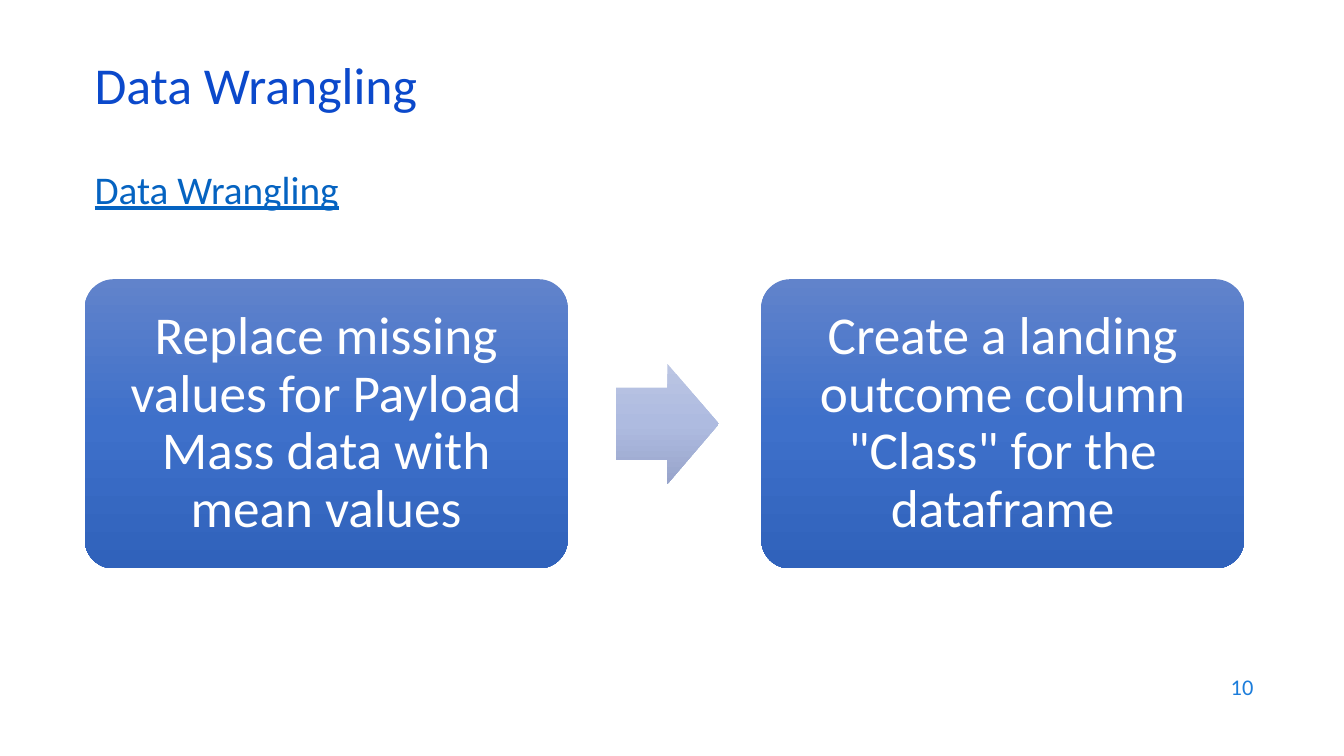
from copy import deepcopy
from dataclasses import dataclass

from pptx import Presentation
from pptx import util as u
from pptx.dml.color import RGBColor
from pptx.enum import shapes, text
from pptx.oxml.ns import qn


@dataclass(frozen=True)
class Theme:
    font: str = "Calibri"
    heading: str = "0B49CB"
    link: str = "0563C1"
    number: str = "1C7DDB"
    step_text: str = "FFFFFF"
    step_fill: tuple[str, ...] = ("6183CB", "3E70CA", "3062BB")
    arrow_fill: tuple[str, ...] = ("BBC5E3", "AEBBE0", "98A4CB")
    heading_size: int = 37
    link_size: int = 28
    step_size: int = 38
    number_size: int = 16


@dataclass(frozen=True)
class Area:
    left: float
    top: float
    width: float
    height: float

    def lengths(self) -> tuple[u.Length, ...]:
        return tuple(u.Inches(v) for v in (self.left, self.top, self.width, self.height))


@dataclass(frozen=True)
class Block:
    kind: shapes.MSO_SHAPE
    area: Area
    adjustments: tuple[float, ...]
    colours: tuple[str, ...]
    wording: str = ""


THEME = Theme()
MARGIN = 0.84
STEP_WIDTH, STEP_HEIGHT, STEP_TOP = 4.79, 2.87, 2.77
STEP_PITCH = 6.71
ARROW_WIDTH, ARROW_HEIGHT = 1.02, 1.19
ARROW_LEFT = 6.11
STEPS = (
    "Replace missing values for Payload Mass data with mean values",
    'Create a landing outcome column "Class" for the dataframe',
)


def write(frame, wording: str, *, size: int, colour: str,
          align=text.PP_ALIGN.LEFT, anchor=text.MSO_ANCHOR.MIDDLE,
          spacing: float = 1.0, underline: bool = False,
          inset: tuple[float, float] = (0.1, 0.05)) -> None:
    frame.word_wrap = True
    frame.vertical_anchor = anchor
    frame.margin_left = frame.margin_right = u.Inches(inset[0])
    frame.margin_top = frame.margin_bottom = u.Inches(inset[1])
    paragraph = frame.paragraphs[0]
    paragraph.alignment = align
    paragraph.line_spacing = spacing
    run = paragraph.add_run()
    run.text = wording
    run.font.name = THEME.font
    run.font.size = u.Pt(size)
    run.font.color.rgb = RGBColor.from_string(colour)
    run.font.underline = underline


def add_label(slide, area: Area, wording: str, **style) -> None:
    write(slide.shapes.add_textbox(*area.lengths()).text_frame, wording, **style)


def shade(shape, colours: tuple[str, ...]) -> None:
    shape.fill.gradient()
    shape.fill.gradient_angle = 270
    stops = shape.element.spPr.find(qn("a:gradFill")).find(qn("a:gsLst"))
    stops.insert(1, deepcopy(stops[0]))
    for index, (stop, colour) in enumerate(zip(shape.fill.gradient_stops, colours)):
        stop.position = index / (len(colours) - 1)
        stop.color.rgb = RGBColor.from_string(colour)


def add_block(slide, block: Block) -> None:
    shape = slide.shapes.add_shape(block.kind, *block.area.lengths())
    for index, value in enumerate(block.adjustments):
        shape.adjustments[index] = value
    shape.shadow.inherit = False
    shape.line.fill.background()
    shade(shape, block.colours)
    if block.wording:
        write(shape.text_frame, block.wording, size=THEME.step_size,
              colour=THEME.step_text, align=text.PP_ALIGN.CENTER,
              spacing=0.9, inset=(0.25, 0.25))


def main() -> None:
    deck = Presentation()
    deck.slide_width, deck.slide_height = u.Inches(13.33), u.Inches(7.5)
    slide = deck.slides.add_slide(deck.slide_layouts[6])

    add_label(slide, Area(MARGIN, 0.59, 11.5, 0.6), "Data Wrangling",
              size=THEME.heading_size, colour=THEME.heading, spacing=0.8)
    add_label(slide, Area(MARGIN, 1.59, 5.13, 0.64), "Data Wrangling",
              size=THEME.link_size, colour=THEME.link,
              anchor=text.MSO_ANCHOR.TOP, underline=True)

    steps = [
        Block(shapes.MSO_SHAPE.ROUNDED_RECTANGLE,
              Area(MARGIN + index * STEP_PITCH, STEP_TOP, STEP_WIDTH, STEP_HEIGHT),
              (0.1,), THEME.step_fill, wording)
        for index, wording in enumerate(STEPS)
    ]
    arrow_top = STEP_TOP + (STEP_HEIGHT - ARROW_HEIGHT) / 2
    arrow = Block(shapes.MSO_SHAPE.RIGHT_ARROW,
                  Area(ARROW_LEFT, arrow_top, ARROW_WIDTH, ARROW_HEIGHT),
                  (0.6, 0.5), THEME.arrow_fill)
    for block in (steps[0], arrow, steps[1]):
        add_block(slide, block)

    add_label(slide, Area(9.53, 6.59, 3, 0.44), "10", size=THEME.number_size,
              colour=THEME.number, align=text.PP_ALIGN.RIGHT)
    deck.save("out.pptx")


if __name__ == "__main__":
    main()
